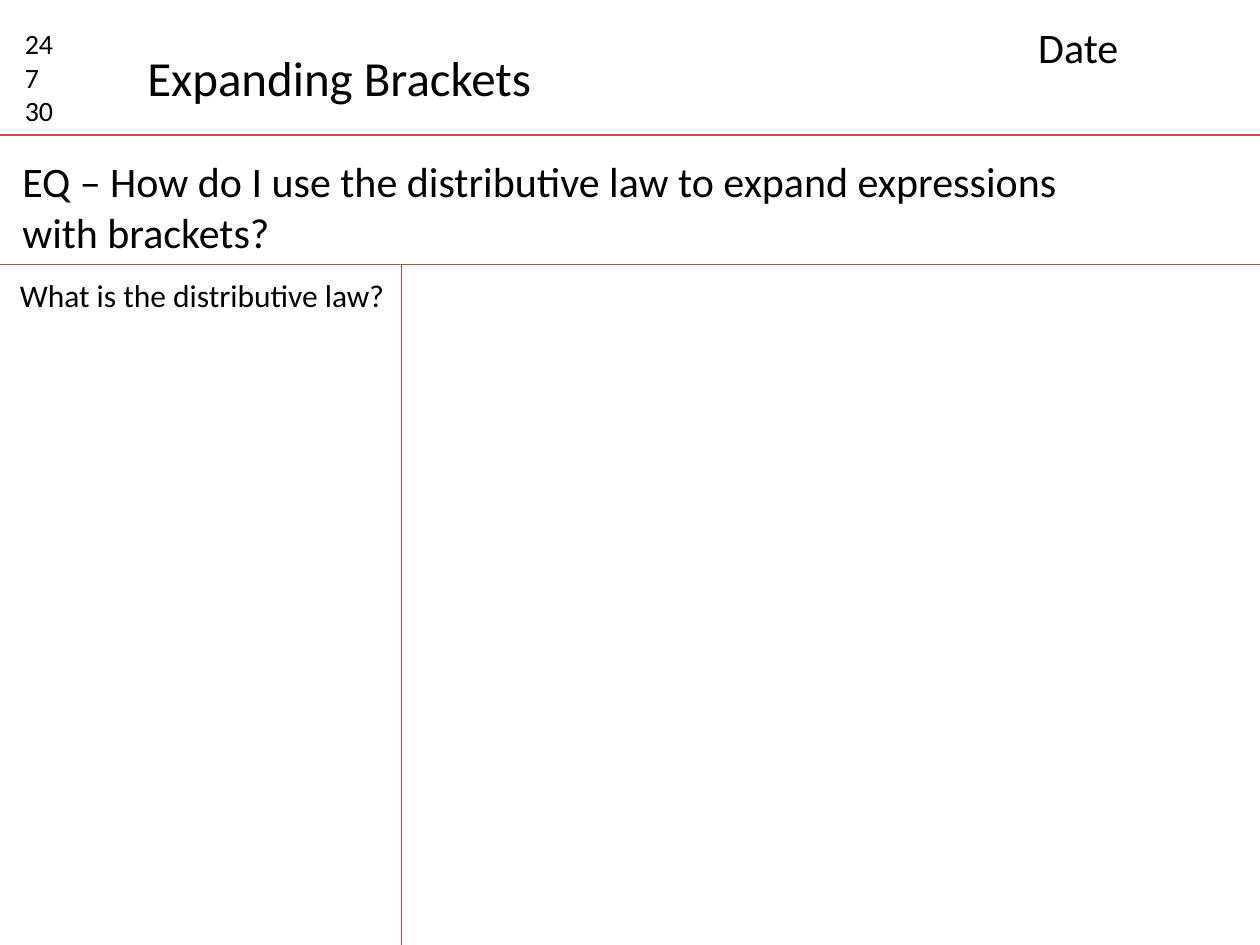
from typing import NamedTuple

from lxml.etree import SubElement
from pptx import Presentation
from pptx.dml.color import RGBColor
from pptx.enum.shapes import MSO_CONNECTOR
from pptx.enum.text import MSO_AUTO_SIZE
from pptx.oxml.ns import qn
from pptx.slide import Slide
from pptx.util import Cm, Pt

COLOURS = {"rule": "BF4C48", "text": "000000"}
FONT = "Calibri"

# Page layout in centimetres
WIDTH, HEIGHT = 25.4, 19.05
HEADER_BOTTOM = 2.72
QUESTION_BOTTOM = 5.33
MARGIN_LINE = 8.1


class Rule(NamedTuple):
    x1: float
    y1: float
    x2: float
    y2: float


class Label(NamedTuple):
    lines: list[str]
    left: float
    top: float
    width: float
    height: float
    size: int
    wrap: bool = True


RULES = [
    Rule(0, HEADER_BOTTOM, WIDTH, HEADER_BOTTOM),
    Rule(0, QUESTION_BOTTOM, WIDTH, QUESTION_BOTTOM),
    Rule(MARGIN_LINE, QUESTION_BOTTOM, MARGIN_LINE, HEIGHT),
]

LABELS = [
    Label(["24", "7", "30"], 0.25, 0.41, 1.6, 2.31, 16),
    Label(["Date"], 20.68, 0.3, 4.39, 1.27, 24),
    Label(["Expanding Brackets"], 2.72, 0.84, 8.33, 1.45, 28, wrap=False),
    Label(["EQ – How do I use the distributive law to expand expressions with brackets?"],
          0.2, 3.02, 22.61, 2.31, 24),
    Label(["What is the distributive law?"], 0.15, 5.44, 7.95, 1.02, 18, wrap=False),
]


def add_rule(slide: Slide, rule: Rule) -> None:
    connector = slide.shapes.add_connector(
        MSO_CONNECTOR.STRAIGHT, Cm(rule.x1), Cm(rule.y1), Cm(rule.x2), Cm(rule.y2))
    connector.line.color.rgb = RGBColor.from_string(COLOURS["rule"])
    connector.line.width = Pt(0.75)
    SubElement(connector._element.spPr, qn("a:effectLst"))


def add_label(slide: Slide, label: Label) -> None:
    shape = slide.shapes.add_textbox(
        Cm(label.left), Cm(label.top), Cm(label.width), Cm(label.height))
    text_frame = shape.text_frame
    text_frame.word_wrap = label.wrap
    text_frame.auto_size = MSO_AUTO_SIZE.SHAPE_TO_FIT_TEXT
    for index, line in enumerate(label.lines):
        paragraph = text_frame.add_paragraph() if index else text_frame.paragraphs[0]
        run = paragraph.add_run()
        run.text = line
        run.font.name = FONT
        run.font.size = Pt(label.size)
        run.font.color.rgb = RGBColor.from_string(COLOURS["text"])


def main() -> None:
    presentation = Presentation()
    presentation.slide_width = Cm(WIDTH)
    presentation.slide_height = Cm(HEIGHT)
    slide = presentation.slides.add_slide(presentation.slide_layouts[6])

    # Ruled lines of the note page
    for rule in RULES:
        add_rule(slide, rule)

    # Headings and the margin question
    for label in LABELS:
        add_label(slide, label)

    presentation.save("out.pptx")


if __name__ == "__main__":
    main()
